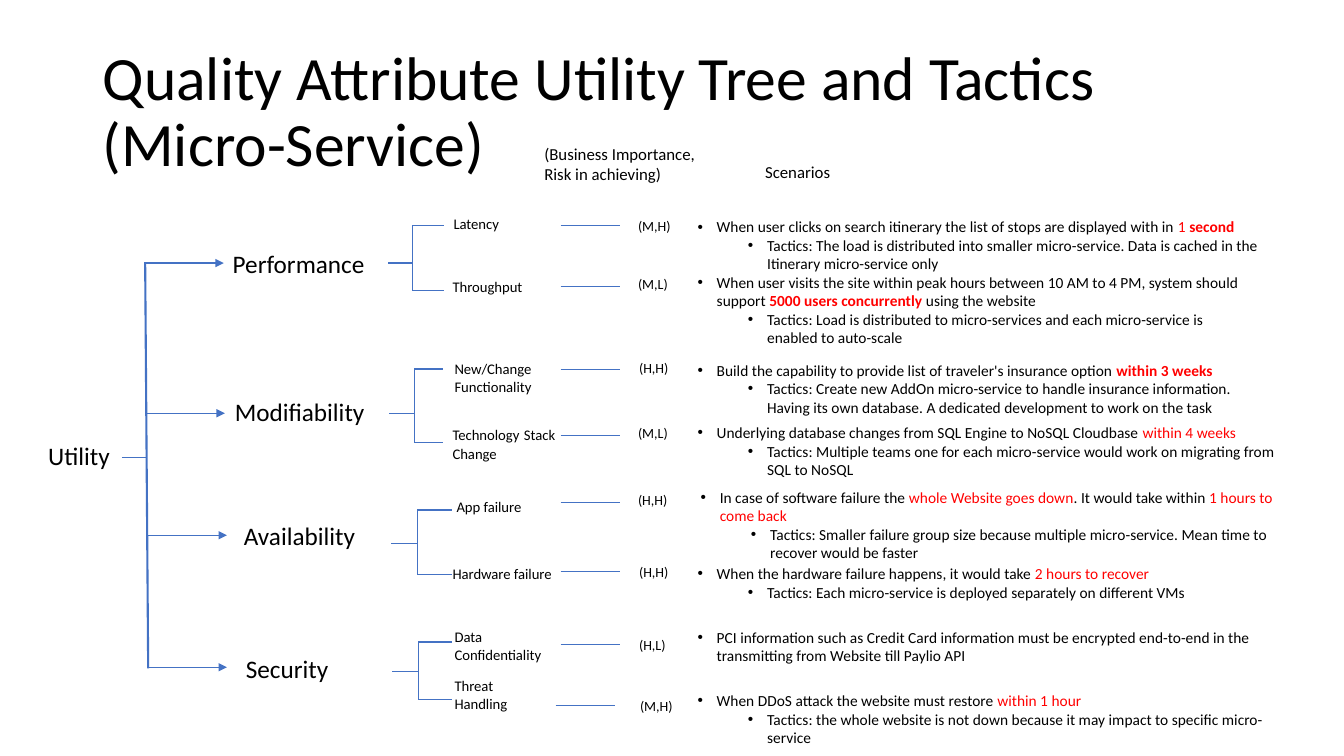
from lxml import etree
from pptx import Presentation
from pptx.dml.color import RGBColor
from pptx.enum.shapes import MSO_CONNECTOR
from pptx.enum.text import MSO_ANCHOR, MSO_AUTO_SIZE
from pptx.oxml.ns import qn
from pptx.util import Inches, Pt

STRAIGHT = MSO_CONNECTOR.STRAIGHT
MIDDLE = MSO_ANCHOR.MIDDLE
GROW = MSO_AUTO_SIZE.SHAPE_TO_FIT_TEXT
BLACK = RGBColor(0, 0, 0)
RED = RGBColor(0xFF, 0, 0)
BLUE = RGBColor(0x44, 0x72, 0xC4)
FACE = "Calibri"

# Name, left, top, arrow start, arrow height
BRANCHES = [
    ("Performance", 2.21, 2.41, 1.43, 2.61),
    ("Modifiability", 2.23, 3.88, 1.44, 4.1),
    ("Availability", 2.32, 5.11, 1.46, 5.31),
    ("Security", 2.34, 6.43, 1.46, 6.62),
]

# Stem start, spine, branch end, top, middle, bottom
FORKS = [
    (3.85, 4.09, 4.4, 2.24, 2.61, 2.88),
    (3.86, 4.11, 4.39, 3.66, 4.1, 4.39),
    (3.88, 4.14, 4.48, 5.06, 5.39, 5.7),
    (3.89, 4.15, 4.48, 6.37, 6.66, 6.94),
]

# Lines, left, top, width
LEAVES = [
    (["Latency"], 4.4, 2.08, 1.06),
    (["Throughput"], 4.39, 2.71, 1.32),
    (["New/Change", "Functionality"], 4.41, 3.52, 3),
    (["App failure"], 4.43, 4.89, 3),
    (["Hardware failure"], 4.39, 5.55, 1.21),
    (["Data", "Confidentiality"], 4.41, 6.18, 1.22),
    (["Threat", "Handling"], 4.41, 6.67, 1.22),
]

# Rating, left, top, dash left, dash height
RATINGS = [
    ("(M,H)", 6.23, 2.11, 5.56, 2.24),
    ("(M,L)", 6.23, 2.68, 5.56, 2.84),
    ("(H,H)", 6.24, 3.52, 5.56, 3.66),
    ("(M,L)", 6.23, 4.16, 5.56, 4.32),
    ("(H,H)", 6.23, 4.83, 5.56, 4.98),
    ("(H,H)", 6.24, 5.54, 5.56, 5.67),
    ("(H,L)", 6.24, 6.27, 5.56, 6.39),
    ("(M,H)", 6.25, 6.87, 5.51, 7),
]

# Left, top, width, height, scenario runs, tactics; a (text, bold) pair is red
SCENARIOS = [
    (6.82, 2.11, 6.08, 0.66,
     ["When user clicks on search itinerary the list of stops are displayed with in ",
      ("1", False), (" second", True)],
     "The load is distributed into smaller micro-service. Data is cached in "
     "the Itinerary micro-service only"),
    (6.82, 2.66, 5.65, 0.84,
     ["When user visits the site within peak hours between 10 AM to 4 PM, "
      "system should support ", ("5000 users concurrently ", True), "using the website"],
     "Load is distributed to micro-services and each micro-service is "
     "enabled to auto-scale"),
    (6.82, 3.53, 5.65, 0.66,
     ["Build the capability to provide list of traveler's insurance option ",
      ("within 3 weeks", True)],
     "Create new AddOn micro-service to handle insurance information. "
     "Having its own database. A dedicated development to work on the task"),
    (6.82, 4.15, 5.98, 0.66,
     ["Underlying database changes from SQL Engine to NoSQL Cloudbase ",
      ("within 4 weeks", False)],
     "Multiple teams one for each micro-service would work on migrating "
     "from SQL to NoSQL"),
    (6.85, 4.79, 5.98, 0.84,
     ["In case of software failure the ", ("whole Website goes down", False),
      ". It would take within ", ("1 hours to come back", False)],
     "Smaller failure group size because multiple micro-service. Mean time "
     "to recover would be faster"),
    (6.82, 5.55, 5.9, 0.77,
     ["When the hardware failure happens, it would take ", ("2 hours to recover", False)],
     "Each micro-service is deployed separately on different VMs"),
    (6.82, 6.18, 5.98, 0.47,
     ["PCI information such as Credit Card information must be encrypted "
      "end-to-end in the transmitting from Website till Paylio API"], None),
    (6.82, 6.81, 6.05, 0.66,
     ["When DDoS attack the website must restore ", ("within 1 hour", False)],
     "the whole website is not down because it may impact to specific micro-service"),
]


def style(para, size):
    para.font.name = FACE
    para.font.size = Pt(size)
    para.font.color.rgb = BLACK


def add_frame(slide, left, top, width, height):
    box = slide.shapes.add_textbox(Inches(left), Inches(top), Inches(width), Inches(height))
    frame = box.text_frame
    frame.word_wrap = True
    return frame


def add_label(slide, lines, size, left, top, width, height):
    frame = add_frame(slide, left, top, width, height)
    frame.auto_size = GROW
    frame.text = "\n".join(lines)
    for para in frame.paragraphs:
        style(para, size)
    return frame


def add_line(slide, start, end, weight=1, arrow=False):
    line = slide.shapes.add_connector(STRAIGHT, *map(Inches, start + end))
    line.line.color.rgb = BLUE
    line.line.width = Pt(weight)
    props = line._element.spPr
    if arrow:
        etree.SubElement(props.find(qn("a:ln")), qn("a:tailEnd"), type="triangle")
    etree.SubElement(props, qn("a:effectLst"))


def add_fork(slide, stem, spine, end, top, mid, low):
    add_line(slide, (stem, mid), (spine, mid))
    add_line(slide, (spine, top), (spine, low))
    for y in (top, low):
        add_line(slide, (spine, y), (end, y))


def add_bullet(para, indent):
    style(para, 11)
    props = para._p.get_or_add_pPr()
    props.set("marL", str(Inches(indent)))
    props.set("indent", str(Inches(-0.19)))
    etree.SubElement(props, qn("a:buFont"), typeface="Arial")
    etree.SubElement(props, qn("a:buChar"), char="•")
    # Bullet settings come before the default run settings
    props.append(props.find(qn("a:defRPr")))


def add_scenario(slide, left, top, width, height, parts, tactics):
    frame = add_frame(slide, left, top, width, height)
    frame.auto_size = GROW
    para = frame.paragraphs[0]
    add_bullet(para, 0.19)
    for part in parts:
        run = para.add_run()
        if isinstance(part, tuple):
            run.text, run.font.bold = part
            run.font.color.rgb = RED
        else:
            run.text = part
    if tactics:
        para = frame.add_paragraph()
        para.level = 1
        para.text = "Tactics: " + tactics
        add_bullet(para, 0.69)


def main():
    deck = Presentation()
    deck.slide_width, deck.slide_height = Inches(13.33), Inches(7.5)
    slide = deck.slides.add_slide(deck.slide_layouts[6])

    # Title and column heads
    title = add_frame(slide, 0.92, 0.4, 11.5, 1.45)
    title.vertical_anchor = MIDDLE
    title.text = "Quality Attribute Utility Tree and Tactics (Micro-Service)"
    style(title.paragraphs[0], 44)
    title.paragraphs[0].line_spacing = 0.9
    add_label(slide, ["(Business Importance, Risk in achieving)"], 12, 5.3, 1.38, 1.81, 0.5)
    add_label(slide, ["Scenarios"], 12, 7.49, 1.56, 3, 0.3)

    # Root and main branches
    add_label(slide, ["Utility"], 18, 0.38, 4.32, 1.08, 0.4)
    add_line(slide, (1.21, 4.54), (1.46, 4.54))
    add_line(slide, (1.44, 2.61), (1.47, 6.63), 1.5)
    for name, left, top, start, y in BRANCHES:
        add_label(slide, [name], 18, left, top, 1.65, 0.4)
        add_line(slide, (start, y), (start + 0.79, y), arrow=True)

    # Forks and leaves
    for fork in FORKS:
        add_fork(slide, *fork)
    for lines, left, top, width in LEAVES:
        add_label(slide, lines, 10.5, left, top, width, 0.11 + 0.17 * len(lines))
    stack = add_label(slide, [""], 10.5, 4.39, 4.13, 1.51, 0.51).paragraphs[0]
    for text, size in (("Technology", 10.5), (" ", 14), ("Stack Change", 10.5)):
        run = stack.add_run()
        run.text = text
        run.font.size = Pt(size)

    # Ratings and scenarios
    for text, left, top, dash, y in RATINGS:
        add_label(slide, [text], 10, left, top, 0.77, 0.27)
        add_line(slide, (dash, y), (dash + 0.59, y), 0.5)
    for scene in SCENARIOS:
        add_scenario(slide, *scene)

    deck.save("out.pptx")


if __name__ == "__main__":
    main()
